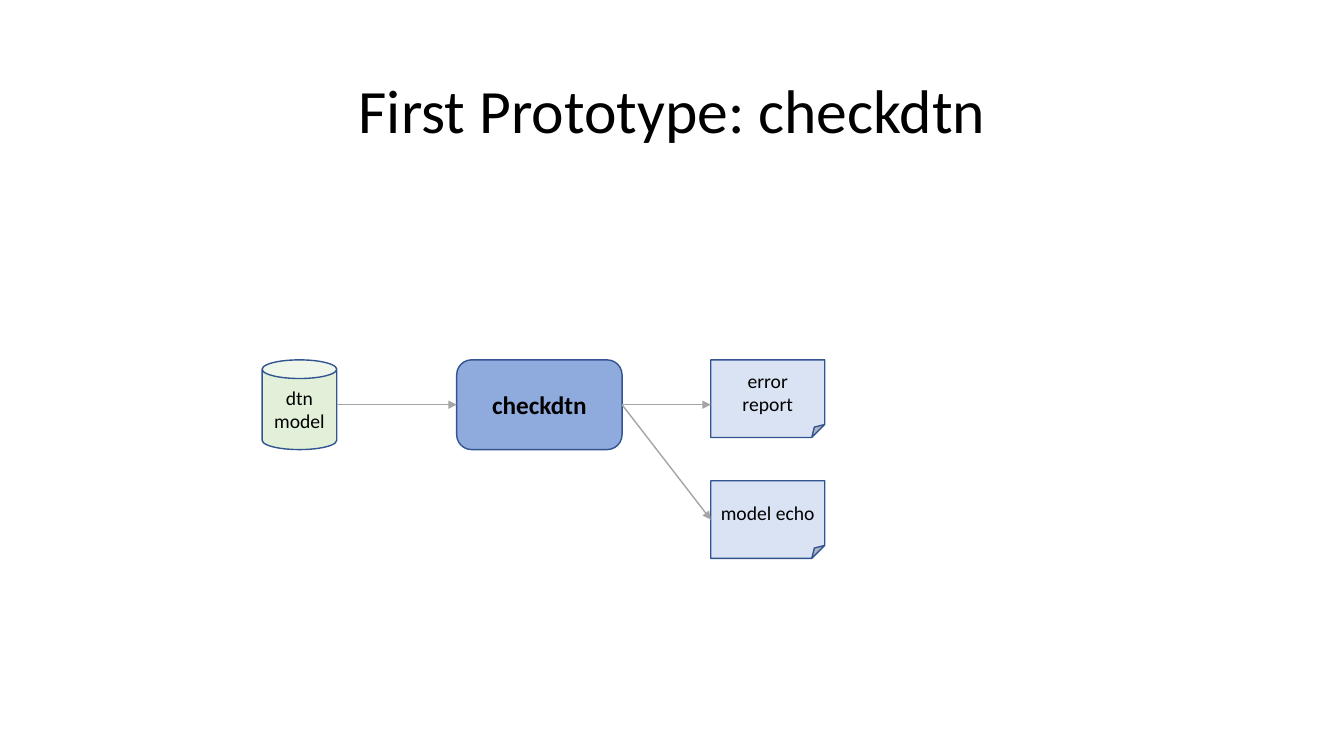
"""Build the checkdtn prototype slide: a model goes in, a report and an echo come out."""
from lxml.etree import SubElement
from pptx import Presentation
from pptx.dml.color import RGBColor
from pptx.enum.shapes import MSO_CONNECTOR, MSO_SHAPE
from pptx.enum.text import MSO_ANCHOR, PP_ALIGN
from pptx.oxml.ns import qn
from pptx.util import Inches, Pt

BLACK = RGBColor(0x00, 0x00, 0x00)
GREEN = RGBColor(0xE2, 0xF0, 0xD9)
BLUE = RGBColor(0x8F, 0xAA, 0xDC)
PALE = RGBColor(0xDA, 0xE3, 0xF3)
NAVY = RGBColor(0x32, 0x54, 0x91)
GRAY = RGBColor(0xA5, 0xA5, 0xA5)


def write(shape, text, size=14, bold=False, spacing=1.0):
    frame = shape.text_frame
    frame.word_wrap = True
    frame.vertical_anchor = MSO_ANCHOR.MIDDLE
    frame.text = text
    for para in frame.paragraphs:
        para.alignment = PP_ALIGN.CENTER
        para.line_spacing = spacing
        font = para.runs[0].font
        font.name = "Calibri"
        font.size = Pt(size)
        font.bold = bold
        font.color.rgb = BLACK


deck = Presentation()
deck.slide_width = Inches(13.33)
deck.slide_height = Inches(7.5)
slide = deck.slides.add_slide(deck.slide_layouts[6])

title = slide.shapes.add_textbox(Inches(0.92), Inches(0.4), Inches(11.5), Inches(1.45))
write(title, "First Prototype: checkdtn", size=44, spacing=0.9)

nodes = [
    (MSO_SHAPE.CAN, 2.6, 3.57, 0.74, 0.89, GREEN, "dtn\nmodel", {}),
    (MSO_SHAPE.ROUNDED_RECTANGLE, 4.53, 3.57, 1.64, 0.89, BLUE, "checkdtn",
     {"size": 18, "bold": True}),
    (MSO_SHAPE.FOLDED_CORNER, 7.05, 3.57, 1.13, 0.77, PALE, "error\nreport", {}),
    (MSO_SHAPE.FOLDED_CORNER, 7.05, 4.77, 1.13, 0.77, PALE, "model echo", {}),
]
made = []
for kind, left, top, width, height, fill, text, style in nodes:
    node = slide.shapes.add_shape(
        kind, Inches(left), Inches(top), Inches(width), Inches(height))
    node.shadow.inherit = False
    node.fill.solid()
    node.fill.fore_color.rgb = fill
    node.line.color.rgb = NAVY
    node.line.width = Pt(1)
    write(node, text, **style)
    made.append(node)
model, check, error, echo = made

middle = check.top + check.height // 2
for start, end, drop, joins in [
    (model, check, middle, (None, check)),
    (check, error, middle, (check, None)),
    (check, echo, echo.top + echo.height // 2, (check, echo)),
]:
    arrow = slide.shapes.add_connector(
        MSO_CONNECTOR.STRAIGHT, start.left + start.width, middle, end.left, drop)
    if joins[0]:
        arrow.begin_connect(joins[0], 3)
    if joins[1]:
        arrow.end_connect(joins[1], 1)
    arrow.line.color.rgb = GRAY
    arrow.line.width = Pt(1)
    SubElement(arrow.line._get_or_add_ln(), qn("a:tailEnd"), type="triangle")
    SubElement(arrow._element.spPr, qn("a:effectLst"))

deck.save("out.pptx")
